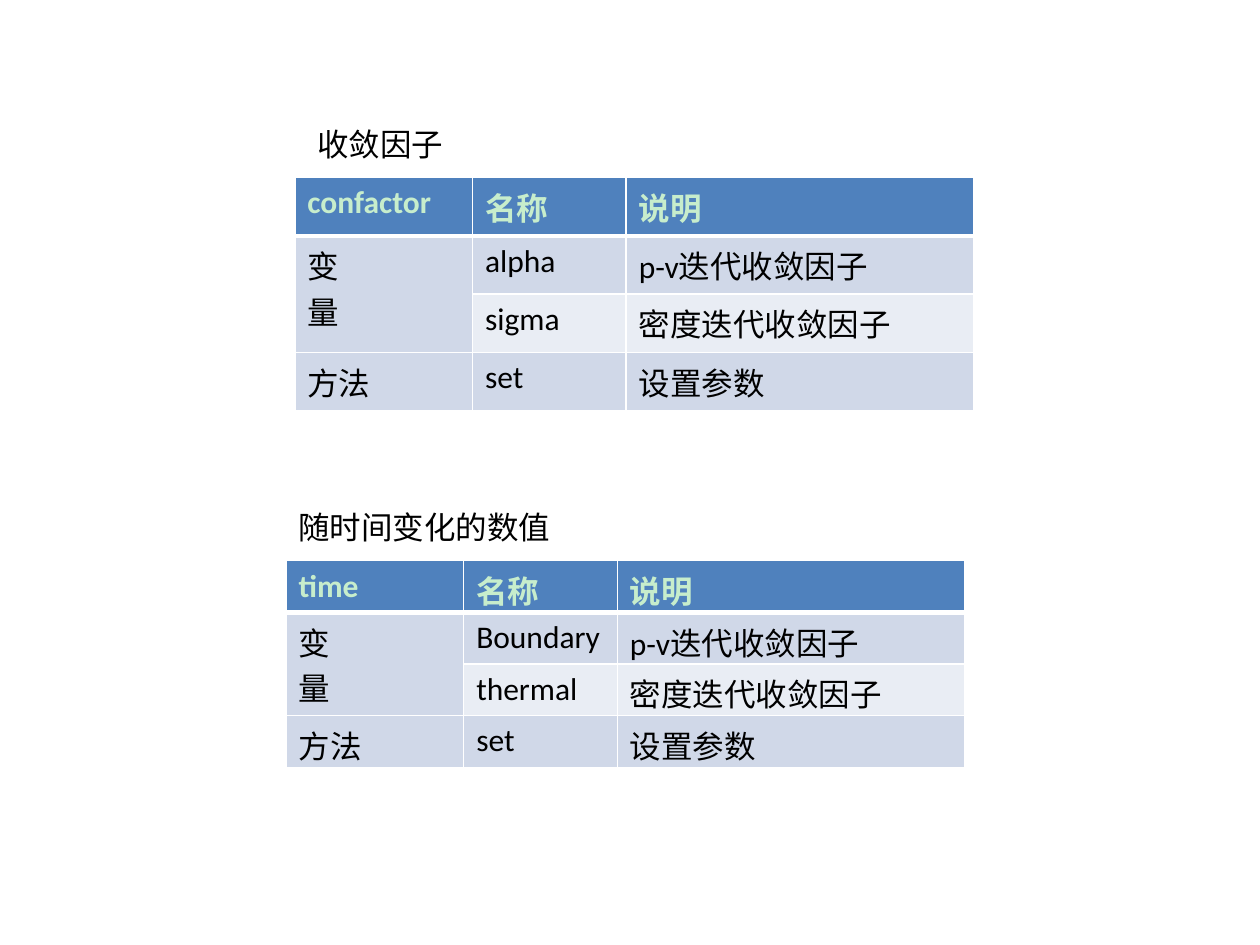
from dataclasses import dataclass

from lxml.etree import SubElement
from pptx import Presentation
from pptx.dml.color import RGBColor
from pptx.oxml.ns import qn
from pptx.util import Inches, Pt


@dataclass(frozen=True)
class Theme:
    font: str = "Calibri"
    size: int = 18
    background: str = "FFFFFF"
    border: str = "FFFFFF"
    text: str = "000000"
    header_text: str = "C7EDCC"
    header_fill: str = "4F81BD"
    bands: tuple = ("D0D8E8", "E9EDF4")
    border_width: int = 1
    header_rule_width: int = 3


def write_text(frame, text, *, theme, color, bold=False):
    frame.text = text
    for paragraph in frame.paragraphs:
        for run in paragraph.runs:
            run.font.name = theme.font
            run.font.size = Pt(theme.size)
            run.font.bold = bold
            run.font.color.rgb = RGBColor.from_string(color)


class SlideBuilder:
    def __init__(self, slide, theme):
        self.slide = slide
        self.theme = theme
        fill = slide.background.fill
        fill.solid()
        fill.fore_color.rgb = RGBColor.from_string(theme.background)

    def add_caption(self, text, left, top, width):
        box = self.slide.shapes.add_textbox(
            Inches(left), Inches(top), Inches(width), Inches(0.4))
        box.text_frame.word_wrap = True
        write_text(box.text_frame, text, theme=self.theme, color=self.theme.text)

    def add_borders(self, cell, row_index):
        properties = cell._tc.get_or_add_tcPr()
        header_sides = {0: "lnB", 1: "lnT"}
        for side in ("lnL", "lnR", "lnT", "lnB"):
            is_rule = header_sides.get(row_index) == side
            width = self.theme.header_rule_width if is_rule else self.theme.border_width
            line = SubElement(properties, qn(f"a:{side}"), w=str(Pt(width)))
            fill = SubElement(line, qn("a:solidFill"))
            SubElement(fill, qn("a:srgbClr"), val=self.theme.border)

    def style_cell(self, cell, text, row_index, bottom_margin):
        theme = self.theme
        is_header = row_index == 0
        self.add_borders(cell, row_index)
        cell.margin_bottom = Inches(bottom_margin)
        cell.fill.solid()
        cell.fill.fore_color.rgb = RGBColor.from_string(
            theme.header_fill if is_header else theme.bands[(row_index - 1) % 2])
        write_text(cell.text_frame, text, theme=theme, bold=is_header,
                   color=theme.header_text if is_header else theme.text)

    def add_class_table(self, rows, left, top, bottom_margin):
        column_widths = (1.41, 1.22, 2.76)
        row_height = 0.41
        table = self.slide.shapes.add_table(
            len(rows), len(column_widths), Inches(left), Inches(top),
            Inches(sum(column_widths)), Inches(row_height * len(rows))).table
        for column, width in zip(table.columns, column_widths):
            column.width = Inches(width)
        for row_index, row in enumerate(rows):
            table.rows[row_index].height = Inches(row_height)
            for column_index, text in enumerate(row):
                self.style_cell(table.cell(row_index, column_index), text,
                                row_index, bottom_margin)
        table.cell(1, 0).merge(table.cell(2, 0))


def class_rows(class_name, first_variable, second_variable):
    return (
        (class_name, "名称", "说明"),
        ("变\n量", first_variable, "p-v迭代收敛因子"),
        ("", second_variable, "密度迭代收敛因子"),
        ("方法", "set", "设置参数"),
    )


def main():
    presentation = Presentation()
    presentation.slide_width = Inches(10)
    presentation.slide_height = Inches(7.5)
    slide = presentation.slides.add_slide(presentation.slide_layouts[6])
    builder = SlideBuilder(slide, Theme())

    builder.add_class_table(class_rows("confactor", "alpha", "sigma"),
                            2.34, 1.41, bottom_margin=0.05)
    builder.add_caption("收敛因子", 2.42, 0.94, 1.25)
    builder.add_class_table(class_rows("time", "Boundary", "thermal"),
                            2.27, 4.45, bottom_margin=0)
    builder.add_caption("随时间变化的数值", 2.27, 3.98, 2.27)

    presentation.save("out.pptx")


if __name__ == "__main__":
    main()
